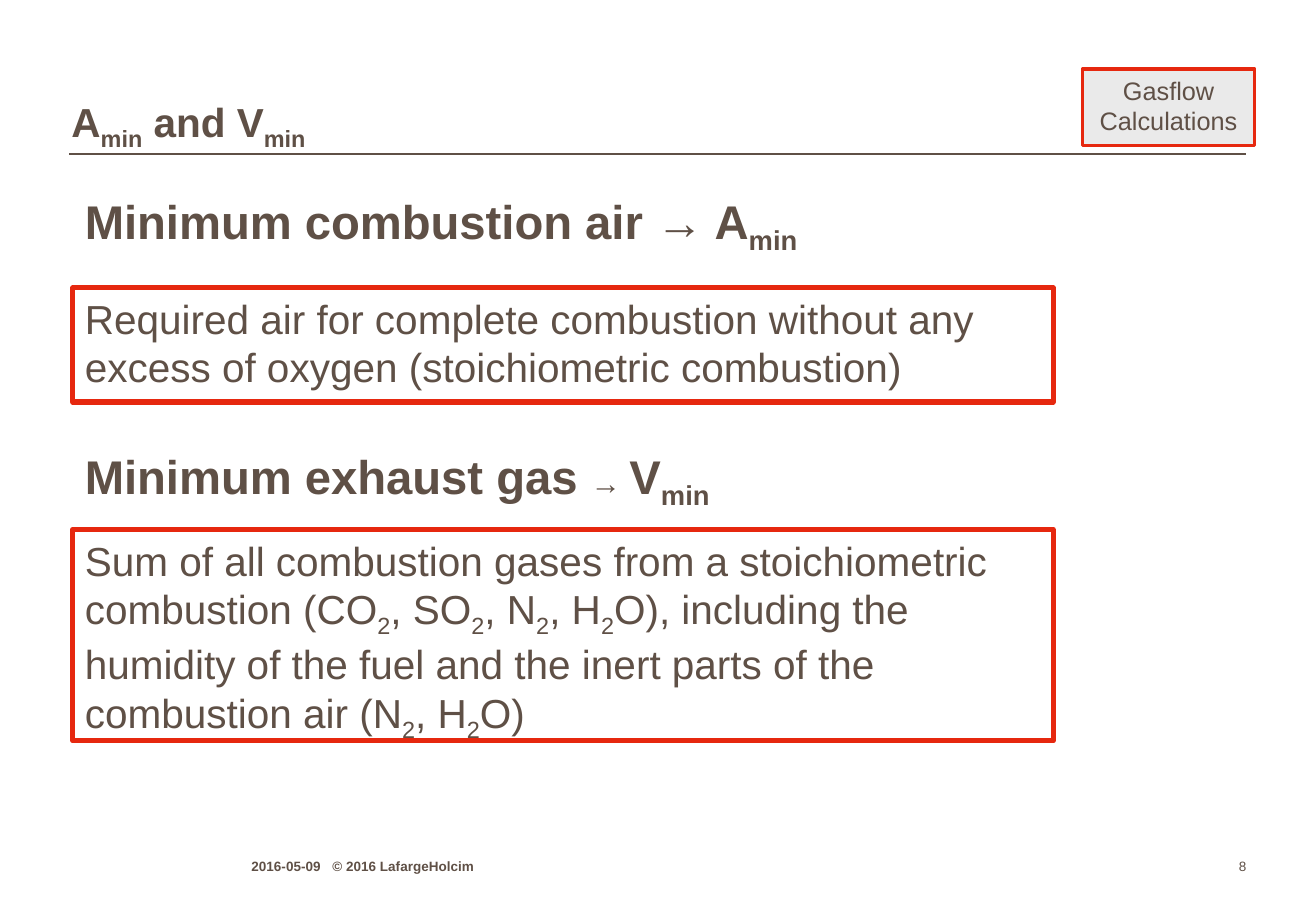
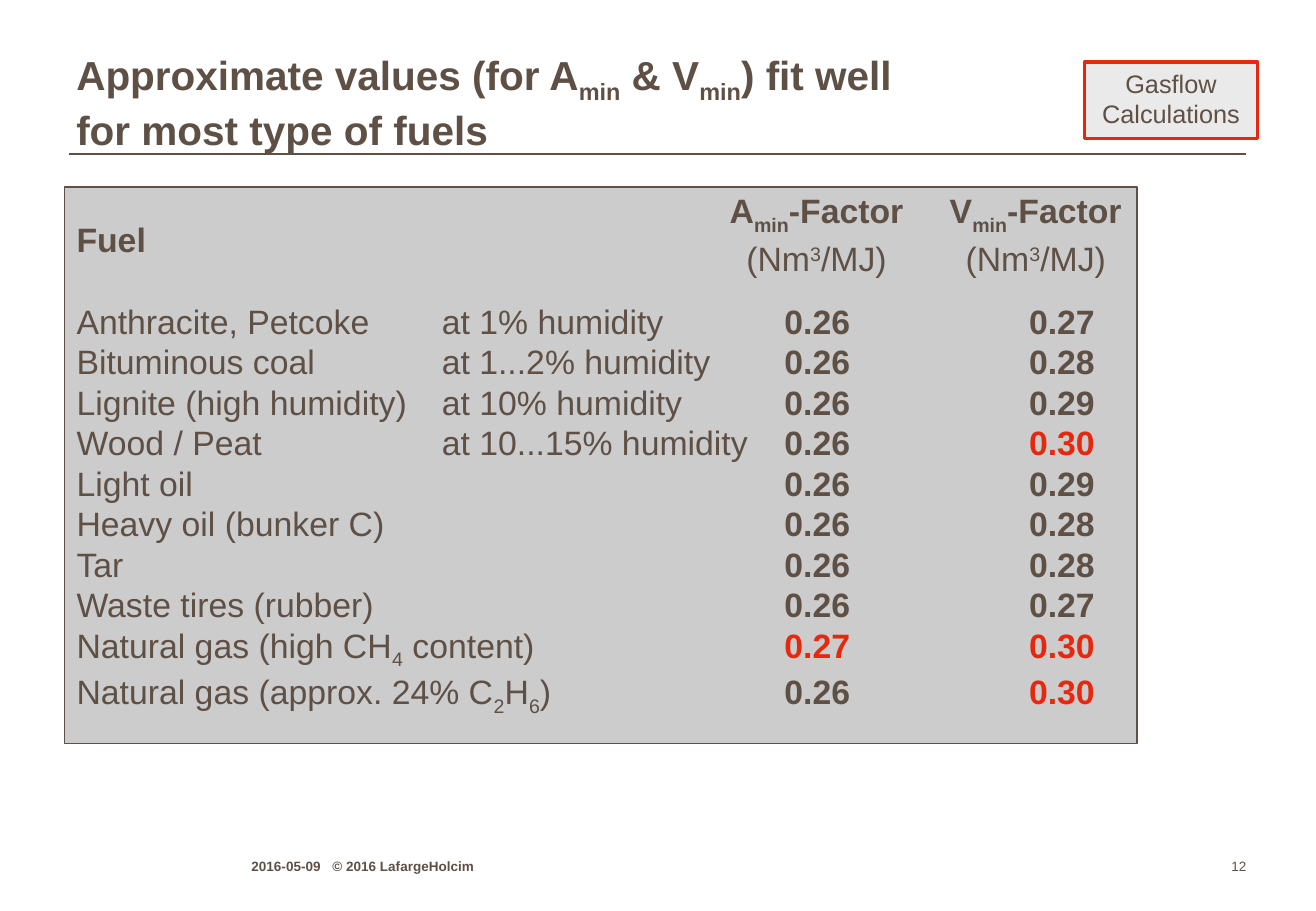
import dataclasses
import typing

import lxml.etree
import pptx
import pptx.dml.color
import pptx.enum.shapes
import pptx.enum.text
import pptx.oxml.ns
import pptx.util

Pt = pptx.util.Pt
ALIGN = pptx.enum.text.PP_ALIGN
ANCHOR = pptx.enum.text.MSO_ANCHOR
RECTANGLE = pptx.enum.shapes.MSO_SHAPE.RECTANGLE

COLOURS = {"text": "5F5046", "accent": "E6280F", "badge": "EAEAEA", "panel": "CCCCCC"}
FONT = "Arial"
NO_GRID_STYLE = "{2D5ABB26-0587-4C30-8999-92F81FD0307C}"
# Inline marks: ~subscript~, ^superscript^, |small|
BASELINES = {"~": "-25000", "^": "30000"}
SMALL_SIZE = 18


@dataclasses.dataclass(frozen=True)
class Area:
    left: float
    top: float
    width: float
    height: float

    def lengths(self) -> list[int]:
        return [Pt(value) for value in dataclasses.astuple(self)]


@dataclasses.dataclass(frozen=True)
class Definition:
    heading: str
    heading_top: float
    body: str
    body_top: float
    body_height: float


@dataclasses.dataclass(frozen=True)
class Fuel:
    name: str
    humidity: str
    air_factor: float
    gas_factor: float


DEFINITIONS = [
    Definition("Minimum combustion air → A~min~", 110.16,
               "Required air for complete combustion without any excess of oxygen "
               "(stoichiometric combustion)", 170.64, 67.68),
    Definition("Minimum exhaust gas |→ |V~min~", 261.36,
               "Sum of all combustion gases from a stoichiometric combustion "
               "(CO~2~, SO~2~, N~2~, H~2~O), including the humidity of the fuel and the "
               "inert parts of the combustion air (N~2~, H~2~O)", 313.92, 125.28),
]

FUELS = [
    Fuel("Anthracite, Petcoke", "at 1% humidity", 0.26, 0.27),
    Fuel("Bituminous coal", "at 1...2% humidity", 0.26, 0.28),
    Fuel("Lignite (high humidity)", "at 10% humidity", 0.26, 0.29),
    Fuel("Wood / Peat", "at 10...15% humidity", 0.26, 0.30),
    Fuel("Light oil", "", 0.26, 0.29),
    Fuel("Heavy oil (bunker C)", "", 0.26, 0.28),
    Fuel("Tar", "", 0.26, 0.28),
    Fuel("Waste tires (rubber)", "", 0.26, 0.27),
    Fuel("Natural gas (high CH~4~ content)", "", 0.27, 0.30),
    Fuel("Natural gas (approx. 24% C~2~H~6~)", "", 0.26, 0.30),
]


def colour(name: str) -> pptx.dml.color.RGBColor:
    return pptx.dml.color.RGBColor.from_string(COLOURS[name])


def write(frame: typing.Any, text: str, *, size: float, bold: bool = False,
          ink: str = "text", align: ALIGN = ALIGN.LEFT, first: bool = True,
          before: float = 0, tab: float = 0) -> None:
    """Write one paragraph, reading the inline marks; \\v breaks the line."""
    para = frame.paragraphs[0] if first else frame.add_paragraph()
    para.alignment = align
    if before:
        para.space_before = Pt(before)
    if tab:
        stops = lxml.etree.SubElement(para._p.get_or_add_pPr(), pptx.oxml.ns.qn("a:tabLst"))
        lxml.etree.SubElement(stops, pptx.oxml.ns.qn("a:tab"), pos=str(Pt(tab)), algn="l")
    mark = ""
    pending = ""

    def flush() -> None:
        if not pending:
            return
        span = para.add_run()
        span.text = pending
        span.font.name = FONT
        span.font.size = Pt(SMALL_SIZE if mark == "|" else size)
        span.font.bold = bold
        span.font.color.rgb = colour(ink)
        if mark in BASELINES:
            span.font._element.set("baseline", BASELINES[mark])

    for letter in text:
        if letter in "~^|\v":
            flush()
            pending = ""
            if letter == "\v":
                para.add_line_break()
            else:
                mark = "" if mark else letter
        else:
            pending += letter
    flush()


def set_margins(holder: typing.Any, left: float, top: float, right: float, bottom: float) -> None:
    holder.margin_left, holder.margin_top = Pt(left), Pt(top)
    holder.margin_right, holder.margin_bottom = Pt(right), Pt(bottom)


def add_text(page: typing.Any, area: Area, text: str, *, inset: bool = True,
             wrap: bool = True, **style: typing.Any) -> None:
    frame = page.shapes.add_textbox(*area.lengths()).text_frame
    frame.word_wrap = wrap
    if not inset:
        set_margins(frame, 0, 0, 0, 0)
        frame.vertical_anchor = ANCHOR.BOTTOM
    write(frame, text, **style)


def add_box(page: typing.Any, area: Area, *, line: str, weight: float,
            fill: str = "", text: str = "", **style: typing.Any) -> None:
    box = page.shapes.add_shape(RECTANGLE, *area.lengths())
    box.shadow.inherit = False
    if fill:
        box.fill.solid()
        box.fill.fore_color.rgb = colour(fill)
    else:
        box.fill.background()
    box.line.color.rgb = colour(line)
    box.line.width = Pt(weight)
    if text:
        box.text_frame.word_wrap = True
        box.text_frame.vertical_anchor = ANCHOR.TOP
        write(box.text_frame, text, **style)


def add_page(deck: typing.Any, title: str, title_area: Area, badge: Area, number: int) -> typing.Any:
    """Add a blank page with the rule, title, badge and footer."""
    page = deck.slides.add_slide(deck.slide_layouts[6])
    rule = page.shapes.add_connector(pptx.enum.shapes.MSO_CONNECTOR.STRAIGHT,
                                     Pt(41.04), Pt(91.44), Pt(738.72), Pt(91.44))
    rule.line.color.rgb = colour("text")
    rule.line.width = Pt(1)
    lxml.etree.SubElement(rule._element.spPr, pptx.oxml.ns.qn("a:effectLst"))

    add_text(page, title_area, title, size=24, bold=True)
    add_box(page, badge, line="accent", weight=2, fill="badge",
            text="Gasflow Calculations", size=15, align=ALIGN.CENTER)
    add_text(page, Area(149.04, 505.44, 249.84, 12.96), "2016-05-09\t© 2016 LafargeHolcim",
             inset=False, size=8, bold=True, tab=48)
    add_text(page, Area(704.88, 505.44, 33.84, 12.96), str(number),
             inset=False, wrap=False, size=8, align=ALIGN.RIGHT)
    return page


def add_definitions(page: typing.Any) -> None:
    left, width = 43.2, 581.04
    for item in DEFINITIONS:
        add_text(page, Area(left, item.heading_top, width, 41.04), item.heading, size=28, bold=True)
        add_box(page, Area(left, item.body_top, width, item.body_height),
                line="accent", weight=3, text=item.body, size=24)


def add_fuel_table(page: typing.Any) -> None:
    panel = Area(38.16, 110.88, 635.76, 329.76)
    add_box(page, panel, line="text", weight=0.75, fill="panel")

    # The narrow third column lets the A header start left of its values
    edges = [38.16, 254.7, 430, 444, 538, 673.92]
    header_height, row_height = 69, 24
    height = header_height + row_height * len(FUELS)
    area = Area(panel.left, panel.top, panel.width, height)
    table = page.shapes.add_table(len(FUELS) + 1, len(edges) - 1, *area.lengths()).table
    table.first_row = table.horz_banding = False
    table._tbl.tblPr.find(pptx.oxml.ns.qn("a:tableStyleId")).text = NO_GRID_STYLE
    for column, start, end in zip(table.columns, edges, edges[1:]):
        column.width = Pt(end - start)
    for index, row in enumerate(table.rows):
        row.height = Pt(row_height if index else header_height)
        for cell in row.cells:
            cell.fill.background()
            set_margins(cell, 7.2, 0, 0, 0)

    # Header
    table.cell(0, 0).merge(table.cell(0, 1))
    table.cell(0, 2).merge(table.cell(0, 3))
    set_margins(table.cell(0, 0), 7.2, 20.9, 0, 0)
    write(table.cell(0, 0).text_frame, "Fuel", size=20, bold=True)
    for column, symbol, indent in ((2, "A", 0), (4, "V", 16)):
        cell = table.cell(0, column)
        set_margins(cell, indent, 3.6, 0, 0)
        write(cell.text_frame, f"{symbol}~min~-Factor", size=20, bold=True, align=ALIGN.CENTER)
        write(cell.text_frame, "(Nm^3^/MJ)", size=20, align=ALIGN.CENTER, first=False, before=3)

    # Fuels; the highest factor of each column is highlighted
    highest_air = max(fuel.air_factor for fuel in FUELS)
    highest_gas = max(fuel.gas_factor for fuel in FUELS)
    for index, fuel in enumerate(FUELS, start=1):
        name_cell = table.cell(index, 0)
        if fuel.humidity:
            humidity_cell = table.cell(index, 1)
            humidity_cell.merge(table.cell(index, 2))
            write(humidity_cell.text_frame, fuel.humidity, size=20)
        else:
            name_cell.merge(table.cell(index, 2))
        write(name_cell.text_frame, fuel.name, size=20)
        for column, factor, highest, indent in ((3, fuel.air_factor, highest_air, 21),
                                                (4, fuel.gas_factor, highest_gas, 72)):
            cell = table.cell(index, column)
            cell.margin_left = Pt(indent)
            write(cell.text_frame, f"{factor:.2f}", size=20, bold=True,
                  ink="accent" if factor == highest else "text")


def main() -> None:
    deck = pptx.Presentation()
    deck.slide_width, deck.slide_height = Pt(780), Pt(540)

    page = add_page(deck, "A~min~ and V~min~", Area(35.28, 54, 590, 34),
                    Area(641.52, 41.04, 102.24, 45.36), 8)
    add_definitions(page)

    page = add_page(deck, "Approximate values (for A~min~ & V~min~) fit well\vfor most type of fuels",
                    Area(38.16, 25.92, 590, 62.64), Area(642.96, 36.72, 102.24, 45.36), 12)
    add_fuel_table(page)

    deck.save("out.pptx")


if __name__ == "__main__":
    main()
